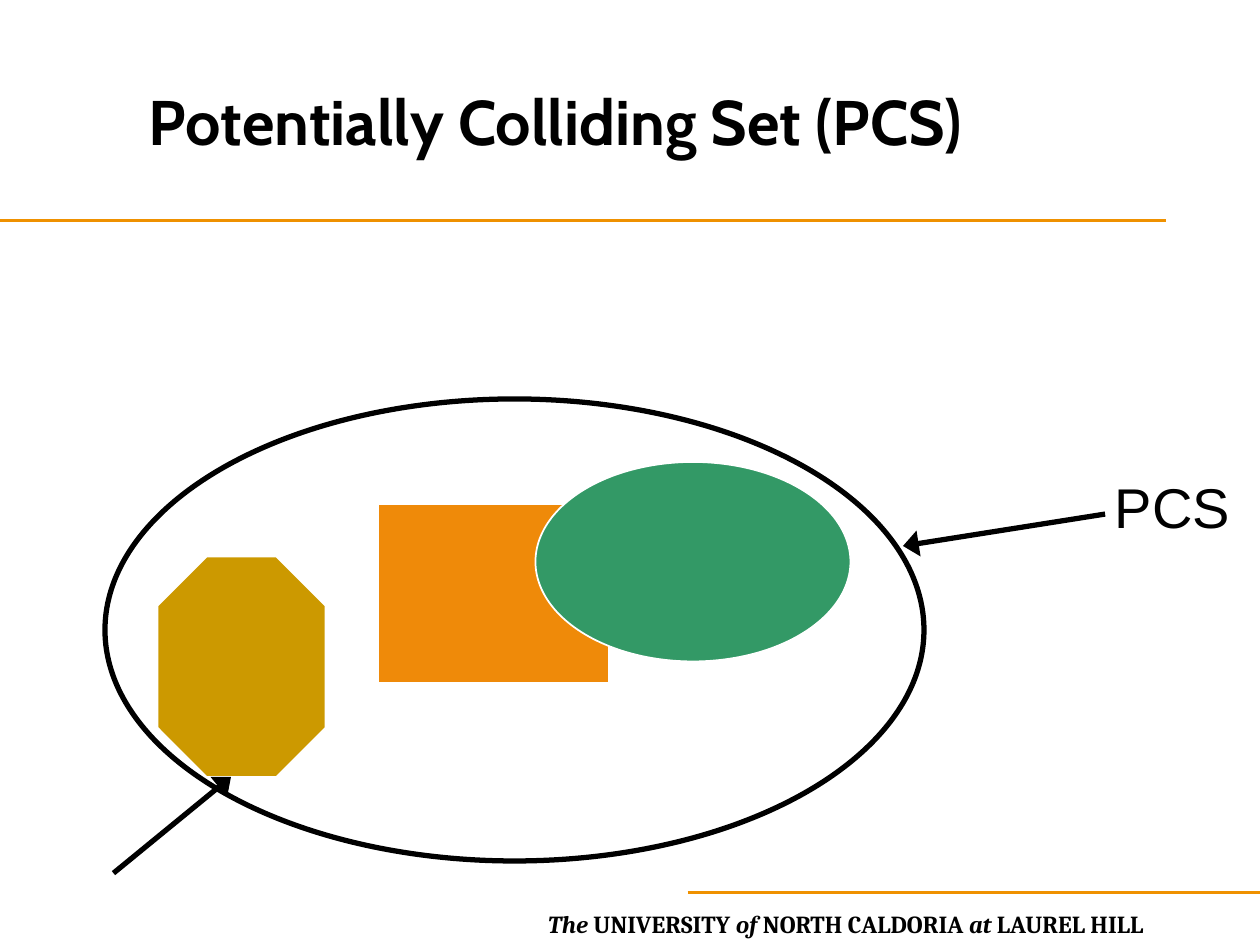
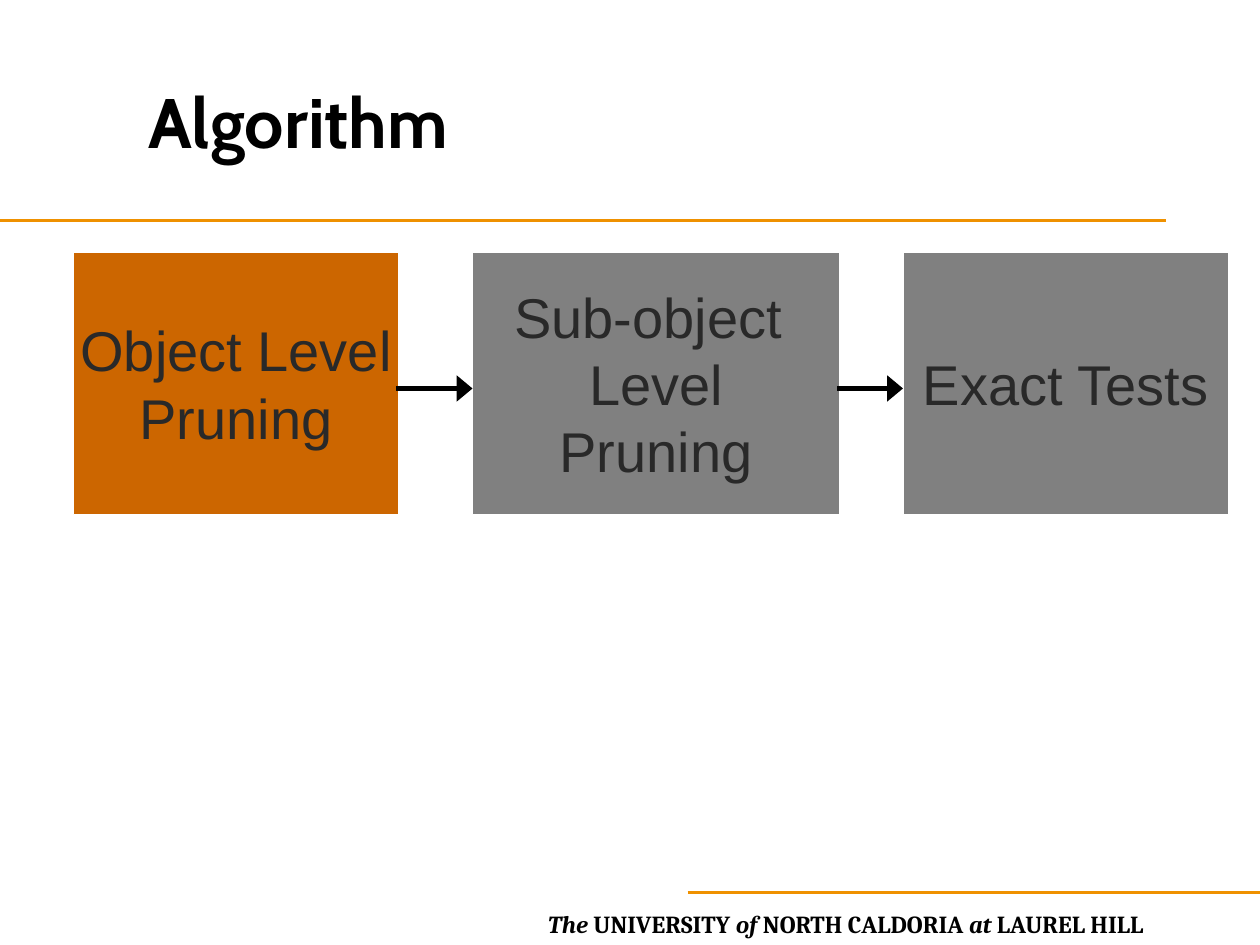
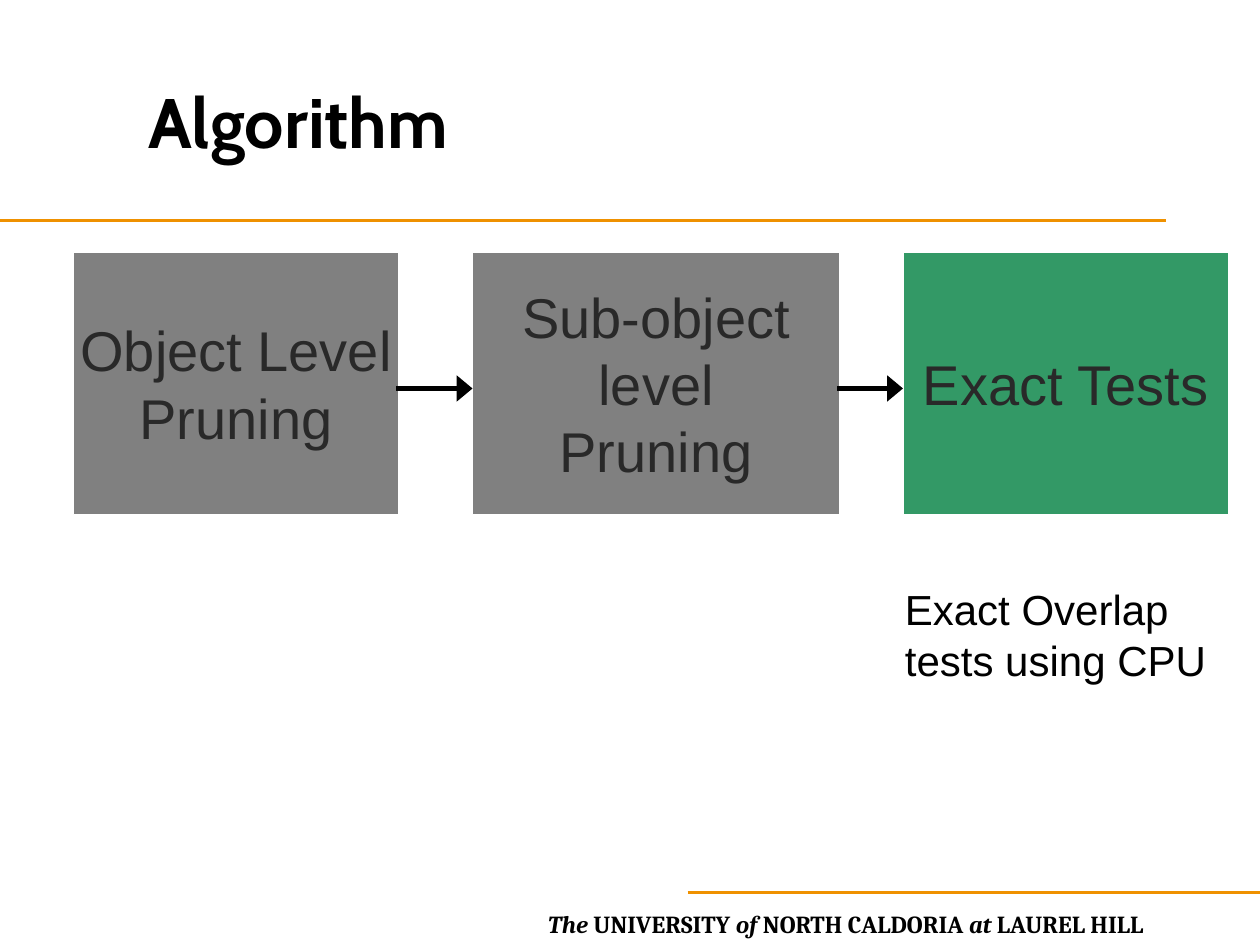
from dataclasses import dataclass

from lxml import etree
from pptx import Presentation
from pptx import util as u
from pptx.dml.color import RGBColor
from pptx.enum import shapes, text
from pptx.oxml import ns


@dataclass(frozen=True)
class Theme:
    ink: str = "000000"
    box_ink: str = "292929"
    paper: str = "FFFFFF"
    rule: str = "EF9100"
    idle: str = "808080"
    rust: str = "CC6600"
    orange: str = "EF8A09"
    green: str = "339966"
    gold: str = "CC9900"
    title_font: str = "Cabin"
    body_font: str = "Arial"
    footer_font: str = "Cambria"
    long_title: int = 36
    title: int = 40
    label: int = 32
    note: int = 24
    footer: int = 14
    edge: int = 1
    rule_width: int = 2
    stroke: int = 3


theme = Theme()
deck = Presentation()
deck.slide_width, deck.slide_height = u.Inches(10), u.Inches(7.5)
STEP = deck.slide_width // 120  # the slide is a grid of 120 columns by 90 rows


def write(shape, content, size, font=theme.body_font, color=theme.ink, bold=False,
          align=text.PP_ALIGN.LEFT, anchor=text.MSO_ANCHOR.TOP, wrap=True):
    """Fill a shape with one paragraph; content is a string or (string, italic) pairs."""
    frame = shape.text_frame
    frame.word_wrap, frame.vertical_anchor = wrap, anchor
    paragraph = frame.paragraphs[0]
    paragraph.alignment = align
    for words, italic in [(content, False)] if isinstance(content, str) else content:
        for number, line in enumerate(words.split("\n")):
            if number:
                paragraph.add_line_break()
            run = paragraph.add_run()
            run.text = line
            run.font.name, run.font.size = font, u.Pt(size)
            run.font.bold, run.font.italic = bold, italic
            run.font.color.rgb = RGBColor.from_string(color)


def add_line(slide, start, end, color=theme.ink, width=theme.stroke, arrow=True):
    line = slide.shapes.add_connector(
        shapes.MSO_CONNECTOR.STRAIGHT, *(int(n * STEP) for n in (*start, *end)))
    line.line.color.rgb = RGBColor.from_string(color)
    line.line.width = u.Pt(width)
    if arrow:
        outline = line.line._get_or_add_ln()
        outline.set("cap", "sq")
        etree.SubElement(outline, ns.qn("a:tailEnd"), type="triangle", w="lg", len="med")
    etree.SubElement(line._element.spPr, ns.qn("a:effectLst"))


# Shared title, rules and footer
FOOTER = [("The", True), (" UNIVERSITY ", False), ("of ", True),
          ("NORTH CALDORIA ", False), ("at ", True), ("LAUREL HILL", False)]
slides = []
for heading, size in [("Potentially Colliding Set (PCS)", theme.long_title),
                      ("Algorithm", theme.title), ("Algorithm", theme.title)]:
    slide = deck.slides.add_slide(deck.slide_layouts[6])
    slides.append(slide)
    add_line(slide, (0, 21), (111, 21), theme.rule, theme.rule_width, arrow=False)
    add_line(slide, (65.5, 85), (120, 85), theme.rule, theme.rule_width, arrow=False)
    footer = slide.shapes.add_textbox(*(n * STEP for n in (51, 86, 69, 4)))
    write(footer, FOOTER, theme.footer, font=theme.footer_font, bold=True)
    title = slide.shapes.add_textbox(*(n * STEP for n in (13, 6, 97, 11)))
    write(title, heading, size, font=theme.title_font, bold=True,
          anchor=text.MSO_ANCHOR.MIDDLE)

# Slide 1: three objects inside the potentially colliding set
collision, *pipelines = slides
KIND = shapes.MSO_SHAPE
for kind, area, fill, edge, width in [
    (KIND.RECTANGLE, (36, 48, 22, 17), theme.orange, theme.paper, theme.edge),
    (KIND.OVAL, (51, 44, 30, 19), theme.green, theme.paper, theme.edge),
    (KIND.OCTAGON, (15, 53, 16, 21), theme.gold, theme.paper, theme.edge),
    (KIND.OVAL, (10, 38, 78, 44), None, theme.ink, theme.stroke),
]:
    body = collision.shapes.add_shape(kind, *(n * STEP for n in area))
    body.shadow.inherit = False
    body.line.color.rgb = RGBColor.from_string(edge)
    body.line.width = u.Pt(width)
    if fill:
        body.fill.solid()
        body.fill.fore_color.rgb = RGBColor.from_string(fill)
    else:
        body.fill.background()
add_line(collision, (105, 49), (86, 52))
set_label = collision.shapes.add_textbox(*(int(n * STEP) for n in (105, 44.4, 15, 7.7)))
write(set_label, "PCS", theme.label)
add_line(collision, (11, 83), (22, 74))

# Slides 2 and 3: the pipeline with its current stage coloured
STAGE_TOP, STAGE_HEIGHT, FLOW_ROW = 24, 25, 37
STAGE_COLUMNS = [(7, 31), (45, 35), (86, 31)]
STAGE_TEXTS = [
    ["Object Level\nPruning", "Sub-object \nLevel\nPruning", "Exact Tests"],
    ["Object Level\nPruning", "Sub-object\nlevel\nPruning", "Exact Tests"],
]
STAGE_FILLS = [
    [theme.rust, theme.idle, theme.idle],
    [theme.idle, theme.idle, theme.green],
]
for slide, names, fills in zip(pipelines, STAGE_TEXTS, STAGE_FILLS):
    for (left, width), name, fill in zip(STAGE_COLUMNS, names, fills):
        stage = slide.shapes.add_shape(
            KIND.RECTANGLE, *(n * STEP for n in (left, STAGE_TOP, width, STAGE_HEIGHT)))
        stage.shadow.inherit = False
        stage.fill.solid()
        stage.fill.fore_color.rgb = RGBColor.from_string(fill)
        stage.line.color.rgb = RGBColor.from_string(theme.paper)
        stage.line.width = u.Pt(theme.edge)
        write(stage, name, theme.label, color=theme.box_ink, wrap=False,
              align=text.PP_ALIGN.CENTER, anchor=text.MSO_ANCHOR.MIDDLE)
    for (left, width), (next_left, _) in zip(STAGE_COLUMNS, STAGE_COLUMNS[1:]):
        add_line(slide, (left + width, FLOW_ROW), (next_left, FLOW_ROW))

exact_note = pipelines[1].shapes.add_textbox(*(n * STEP for n in (85, 55, 32, 11)))
write(exact_note, "Exact Overlap\ntests using CPU", theme.note)

deck.save("out.pptx")
